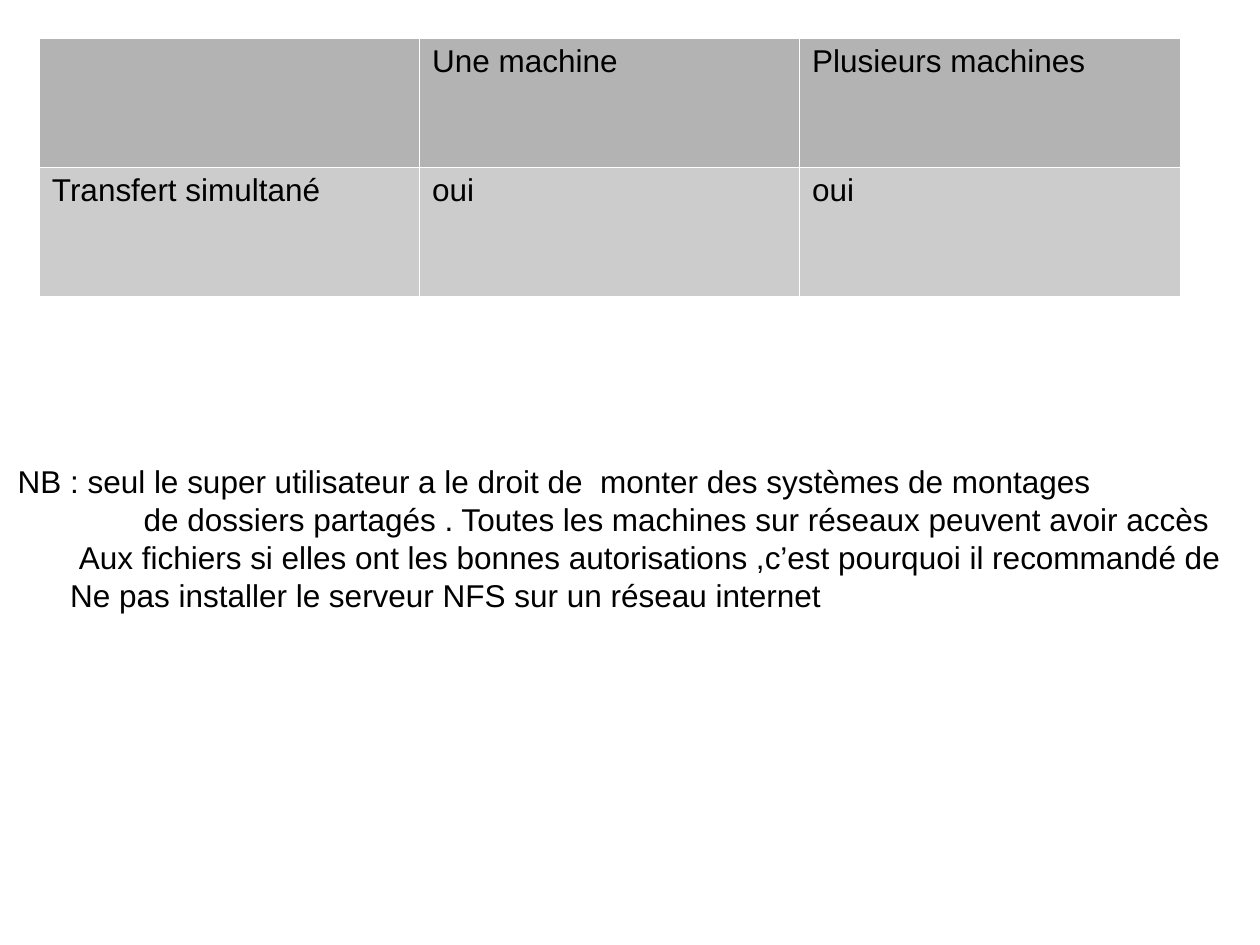
from lxml import etree
from pptx import Presentation
from pptx.dml.color import RGBColor
from pptx.oxml.ns import qn
from pptx.util import Pt

BLANK_LAYOUT = 6
FONT = "Arial"
TEXT_SIZE = 18
BLACK, WHITE = "000000", "FFFFFF"
ROW_FILLS = ["B3B3B3", "CCCCCC"]
BORDER_WIDTH = 0.06
COLUMN_WIDTH, ROW_HEIGHT = 217.2, 73.7

TRANSFERS = [
    ["", "Une machine", "Plusieurs machines"],
    ["Transfert simultané", "oui", "oui"],
]
NOTE_LINES = [
    ("NB : seul le super utilisateur a le droit de  monter des systèmes de montages", 0),
    ("de dossiers partagés . Toutes les machines sur réseaux peuvent avoir accès", 72),
    ("Aux fichiers si elles ont les bonnes autorisations ,c’est pourquoi il recommandé de", 35),
    ("Ne pas installer le serveur NFS sur un réseau internet", 30),
]


def color(value):
    return RGBColor.from_string(value)


def format_text(paragraph):
    font = paragraph.font
    font.name = FONT
    font.size = Pt(TEXT_SIZE)
    font.bold = False
    font.color.rgb = color(BLACK)
    for run in paragraph.runs:
        run.font.name = FONT
        run.font.size = Pt(TEXT_SIZE)
        run.font.color.rgb = color(BLACK)


def set_borders(cell):
    properties = cell._tc.get_or_add_tcPr()
    for position, side in enumerate(("a:lnL", "a:lnR", "a:lnT", "a:lnB")):
        border = etree.Element(qn(side), w=str(Pt(BORDER_WIDTH)))
        fill = etree.SubElement(border, qn("a:solidFill"))
        etree.SubElement(fill, qn("a:srgbClr"), val=WHITE)
        properties.insert(position, border)


def add_transfer_table(slide, left, top):
    row_count, column_count = len(TRANSFERS), len(TRANSFERS[0])
    table = slide.shapes.add_table(
        row_count, column_count, Pt(left), Pt(top),
        Pt(COLUMN_WIDTH * column_count), Pt(ROW_HEIGHT * row_count),
    ).table
    table.first_row = False
    table.horz_banding = False
    for column in table.columns:
        column.width = Pt(COLUMN_WIDTH)
    for row, labels, row_fill in zip(table.rows, TRANSFERS, ROW_FILLS):
        row.height = Pt(ROW_HEIGHT)
        for cell, label in zip(row.cells, labels):
            cell.text_frame.text = label
            format_text(cell.text_frame.paragraphs[0])
            cell.fill.solid()
            cell.fill.fore_color.rgb = color(row_fill)
            set_borders(cell)


def add_note(slide, left, top, width, height):
    note = slide.shapes.add_textbox(Pt(left), Pt(top), Pt(width), Pt(height)).text_frame
    note.word_wrap = True
    note.text = "\n".join(line for line, indent in NOTE_LINES)
    for paragraph, (line, indent) in zip(note.paragraphs, NOTE_LINES):
        paragraph._p.get_or_add_pPr().set("marL", str(Pt(indent)))
        format_text(paragraph)


def main():
    presentation = Presentation()
    presentation.slide_width = Pt(720)
    presentation.slide_height = Pt(540)
    slide = presentation.slides.add_slide(presentation.slide_layouts[BLANK_LAYOUT])
    add_transfer_table(slide, 22.5, 21.7)
    add_note(slide, 3, 260.6, 705.6, 87.8)
    presentation.save("out.pptx")


if __name__ == "__main__":
    main()
